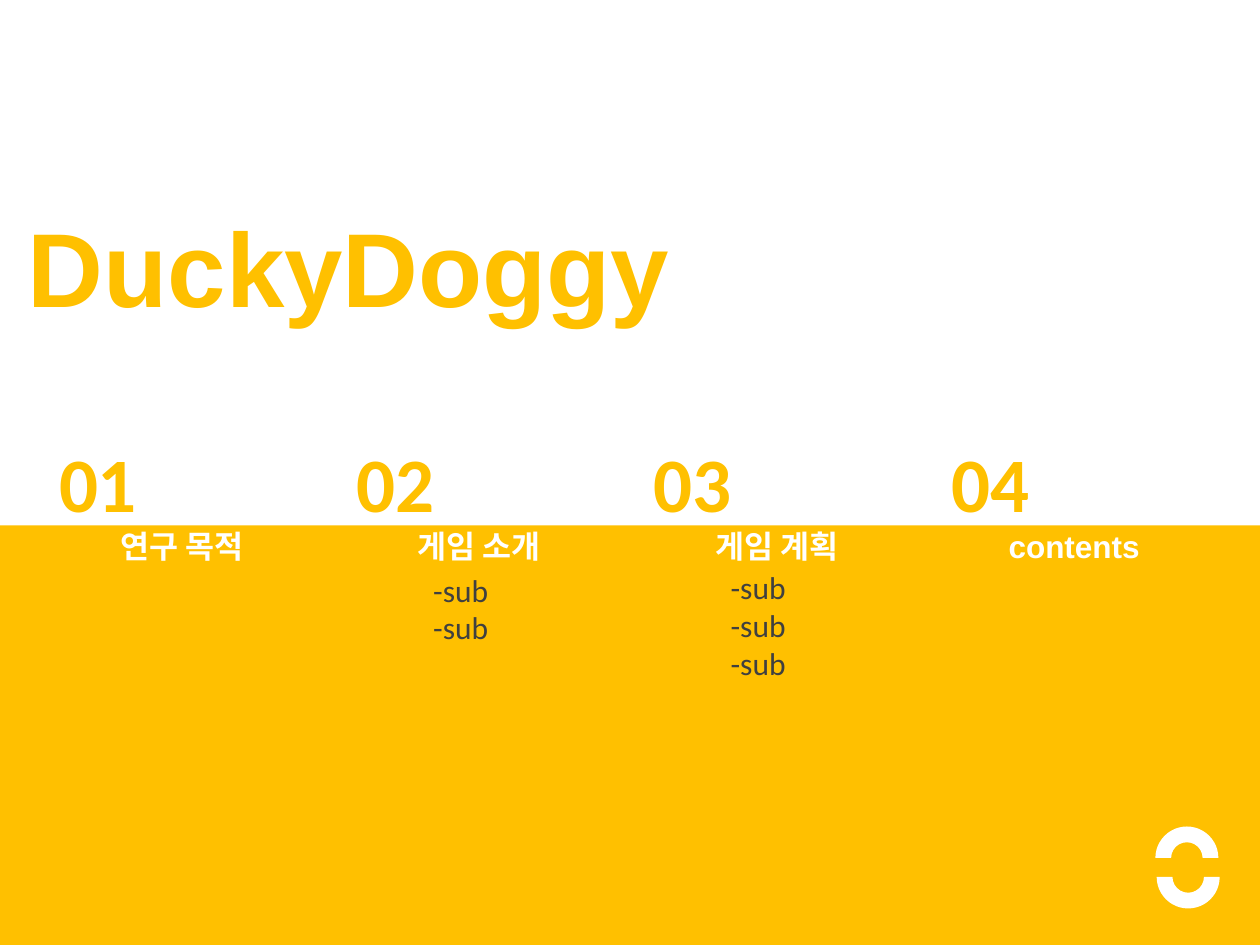
import dataclasses

import pptx
import pptx.dml.color
import pptx.enum.shapes
import pptx.enum.text
import pptx.util

Inches = pptx.util.Inches
SHAPE = pptx.enum.shapes.MSO_SHAPE
ALIGN = pptx.enum.text.PP_ALIGN
ANCHOR = pptx.enum.text.MSO_ANCHOR


@dataclasses.dataclass(frozen=True)
class Theme:
    gold: str = "FFC000"
    white: str = "FFFFFF"
    gray: str = "404040"
    head_font: str = "Arial"
    body_font: str = "Calibri"
    title_size: int = 60
    number_size: int = 44
    text_size: int = 18


class Page:
    def __init__(self, slide, theme):
        self.slide = slide
        self.theme = theme

    def fill(self, frame, lines, font, size, color, bold=True, align=ALIGN.LEFT):
        """Fill a text frame with one styled paragraph per line."""
        frame.word_wrap = True
        frame.auto_size = pptx.enum.text.MSO_AUTO_SIZE.NONE
        frame.text = "\n".join(lines)
        for para in frame.paragraphs:
            para.alignment = align
            para.font.name = font
            para.font.size = pptx.util.Pt(size)
            para.font.bold = bold
            para.font.color.rgb = pptx.dml.color.RGBColor.from_string(color)

    def title(self, text, left, top, width, height):
        shape = self.slide.shapes.title
        shape.left, shape.top = Inches(left), Inches(top)
        shape.width, shape.height = Inches(width), Inches(height)
        shape.text_frame.vertical_anchor = ANCHOR.BOTTOM
        look = self.theme
        self.fill(shape.text_frame, [text], look.head_font, look.title_size, look.gold)

    def text(self, lines, left, top, width, height, *style, **more):
        box = self.slide.shapes.add_textbox(
            Inches(left), Inches(top), Inches(width), Inches(height))
        self.fill(box.text_frame, lines, *style, **more)

    def shape(self, kind, left, top, width, height, color, turn=0):
        shape = self.slide.shapes.add_shape(
            kind, Inches(left), Inches(top), Inches(width), Inches(height))
        shape.shadow.inherit = False
        shape.fill.solid()
        shape.fill.fore_color.rgb = pptx.dml.color.RGBColor.from_string(color)
        shape.line.fill.background()
        shape.rotation = turn


def main():
    deck = pptx.Presentation()
    deck.slide_width, deck.slide_height = Inches(10), Inches(7.5)
    look = Theme()
    page = Page(deck.slides.add_slide(deck.slide_layouts[5]), look)

    page.shape(SHAPE.RECTANGLE, 0, 4.17, 10, 3.33, look.gold)
    page.title("DuckyDoggy", 0.12, 1.55, 5.35, 1.11)

    # Heading, number of sub-items, top of the sub-item list
    topics = [
        ("연구 목적", 0, 0),
        ("게임 소개", 2, 4.48),
        ("게임 계획", 3, 4.46),
        ("contents", 0, 0),
    ]
    pitch = 2.36
    for index, (head, count, top) in enumerate(topics):
        left = 0.45 + index * pitch
        page.text([head], left, 4.13, 1.99, 0.4,
                  look.head_font, look.text_size, look.white, align=ALIGN.CENTER)
        page.text([f"{index + 1:02}"], left - 0.08, 3.41, 1.45, 0.84,
                  look.body_font, look.number_size, look.gold)
        if count:
            page.text(["-sub"] * count, left + 0.53, top, 1.34, 0.1 + 0.3 * count,
                      look.body_font, look.text_size, look.gray, bold=False)

    page.shape(SHAPE.BLOCK_ARC, 9.17, 6.56, 0.5, 0.5, look.white)
    page.shape(SHAPE.BLOCK_ARC, 9.18, 6.71, 0.5, 0.5, look.white, turn=180)

    deck.save("out.pptx")


if __name__ == "__main__":
    main()
